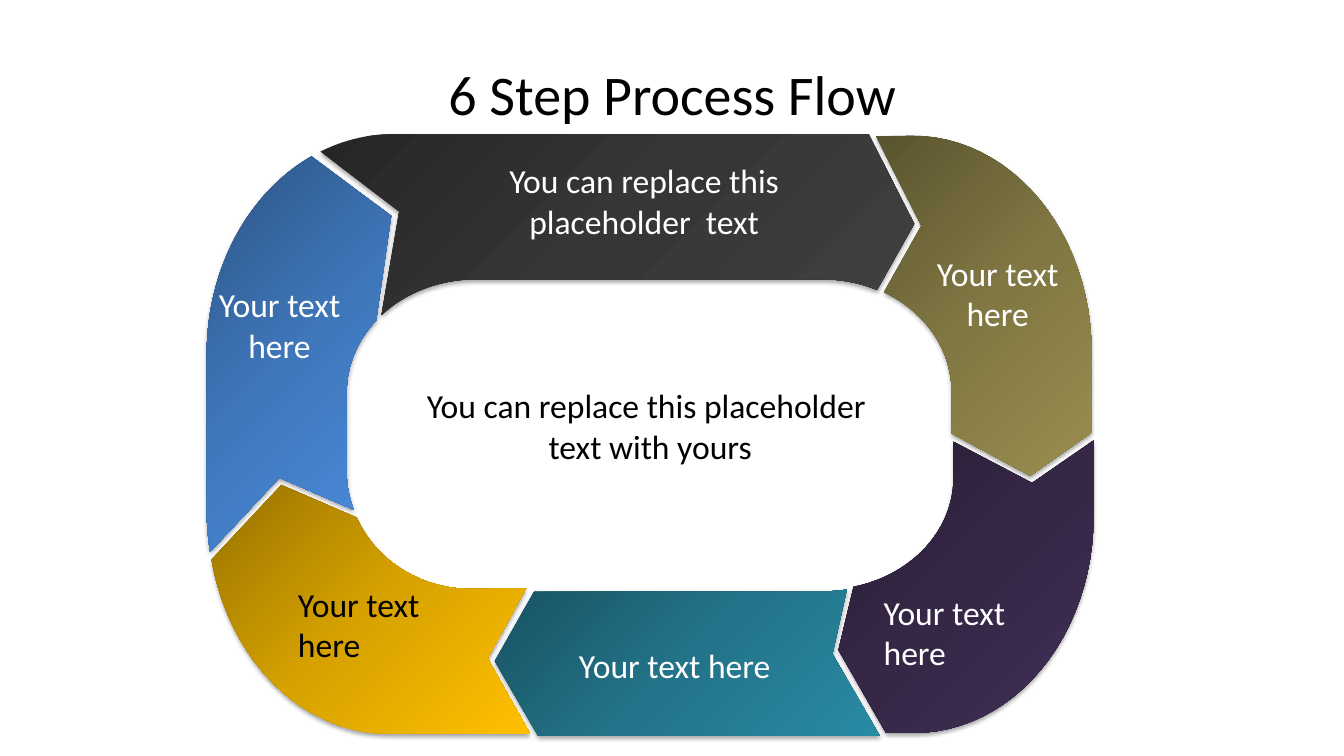
"""Build a slide with a six step process loop."""
from math import cos, radians, sin

from pptx import Presentation
from pptx.dml.color import RGBColor
from pptx.enum.text import MSO_ANCHOR as Anchor, MSO_AUTO_SIZE as AutoSize, PP_ALIGN as Align
from pptx.oxml import parse_xml
from pptx.oxml.ns import nsdecls
from pptx.util import Cm, Pt

BLACK = RGBColor(0x00, 0x00, 0x00)
WHITE = RGBColor(0xFF, 0xFF, 0xFF)
CHARCOAL = RGBColor(0x26, 0x26, 0x26), RGBColor(0x36, 0x36, 0x36), RGBColor(0x40, 0x40, 0x40)
OLIVE = RGBColor(0x5A, 0x54, 0x2F), RGBColor(0x81, 0x77, 0x43), RGBColor(0x99, 0x8D, 0x4F)
PURPLE = RGBColor(0x26, 0x1C, 0x32), RGBColor(0x36, 0x27, 0x47), RGBColor(0x40, 0x2F, 0x54)
TEAL = RGBColor(0x18, 0x52, 0x61), RGBColor(0x23, 0x74, 0x8A), RGBColor(0x29, 0x8A, 0xA3)
GOLD = RGBColor(0x97, 0x72, 0x00), RGBColor(0xD7, 0xA2, 0x00), RGBColor(0xFF, 0xC0, 0x00)
BLUE = RGBColor(0x2D, 0x54, 0x84), RGBColor(0x3F, 0x77, 0xBB), RGBColor(0x4B, 0x8D, 0xDE)

LABEL_FORMAT = {"name": "Calibri", "size": Pt(24)}
TITLE_FORMAT = {"name": "Calibri", "size": Pt(40)}
SHORT_LABEL = "Your text here"


def arc(center_x, center_y, radius_x, radius_y, start, end, steps=24):
    """Return points along an elliptical arc, in centimetres, with angles in degrees."""
    angles = [radians(start + (end - start) * step / steps) for step in range(steps + 1)]
    return [(center_x + radius_x * cos(angle), center_y - radius_y * sin(angle))
            for angle in angles]


STEPS = [
    {"colors": CHARCOAL, "label": "You can replace this placeholder  text",
     "area": (10.9, 3.91, 10.67, 2.84),
     "outline": [*arc(11.99, 9.88, 3.25, 2.84, 137, 90), *arc(20.73, 9.88, 3.25, 2.84, 90, 65),
                 (23.04, 5.64), (21.89, 3.38), *arc(9.91, 8.92, 4.7, 5.54, 90, 113),
                 (10.06, 5.33)]},
    {"colors": OLIVE, "label": SHORT_LABEL, "area": (22.91, 6.25, 4.47, 2.31),
     "outline": [(22.07, 3.43), (23.22, 5.69), *arc(20.73, 9.86, 3.25, 2.84, 61.5, 0),
                 (23.98, 10.92), (25.96, 11.99), (27.51, 10.9),
                 *arc(22.99, 8.86, 4.52, 5.44, 0, 90)]},
    {"colors": PURPLE, "label": SHORT_LABEL, "area": (22.02, 14.78, 4.93, 2.31),
     "align": Align.LEFT,
     "outline": [(26.01, 12.17), (24.03, 11.13), *arc(20.78, 12.04, 3.25, 2.82, 0, -77),
                 (21.13, 16.38), (22.33, 18.47), *arc(23.04, 13.03, 4.52, 5.44, -90, 0),
                 (27.56, 11.1)]},
    {"colors": TEAL, "label": SHORT_LABEL, "area": (13.36, 16.13, 7.29, 1.57),
     "outline": [(21.34, 14.86), (20.8, 14.91), (13.46, 14.91), (12.47, 16.66),
                 (13.56, 18.54), (22.17, 18.54), (20.98, 16.48)]},
    {"colors": GOLD, "label": SHORT_LABEL, "area": (7.26, 14.58, 5.21, 2.84),
     "align": Align.LEFT, "text_color": BLACK,
     "outline": [(13.26, 14.83), *arc(11.86, 11.89, 3.12, 2.95, 270, 203), (7.09, 12.22),
                 *arc(9.78, 12.95, 4.55, 5.54, 192, 270), (13.36, 18.49), (12.29, 16.59)]},
    {"colors": BLUE, "label": SHORT_LABEL, "area": (5.23, 7.04, 3.63, 4.09),
     "outline": [*arc(11.99, 11.89, 3.25, 2.95, 199, 180),
                 *arc(11.99, 9.88, 3.25, 2.84, 180, 140.5), (9.86, 5.44),
                 *arc(9.91, 8.92, 4.7, 5.54, 116, 180),
                 *arc(9.91, 12.85, 4.7, 5.54, 180, 191), (7.04, 12.04)]},
]


def write_text(box, text, color, align, formats):
    """Put one formatted paragraph in a box."""
    para = box.text_frame.paragraphs[0]
    para.alignment = align
    span = para.add_run()
    span.text = text
    for name, value in formats.items():
        setattr(span.font, name, value)
    span.font.color.rgb = color


def place(box, area):
    """Move and size a box, given in centimetres."""
    for name, value in zip(("left", "top", "width", "height"), area):
        setattr(box, name, Cm(value))


def add_label(shapes, text, area, color, align=Align.CENTER):
    """Add a wrapping text box."""
    box = shapes.add_textbox(*[Cm(value) for value in area])
    box.text_frame.word_wrap = True
    box.text_frame.auto_size = AutoSize.SHAPE_TO_FIT_TEXT
    write_text(box, text, color, align, LABEL_FORMAT)
    place(box, area)


def add_arrow(shapes, outline, colors):
    """Add a closed outline with a diagonal gradient and a soft shadow."""
    points = [(Cm(x), Cm(y)) for x, y in outline]
    builder = shapes.build_freeform(*points[0])
    builder.add_line_segments(points[1:], close=True)
    arrow = builder.convert_to_shape()
    stops = "".join(f'<a:gs pos="{position}"><a:srgbClr val="{color}"/></a:gs>'
                    for position, color in zip((0, 50000, 100000), colors))
    properties = arrow.element.spPr
    properties.append(parse_xml(
        f'<a:gradFill {nsdecls("a")} rotWithShape="1"><a:gsLst>{stops}</a:gsLst>'
        '<a:lin ang="2700000" scaled="0"/></a:gradFill>'))
    arrow.line.fill.background()
    properties.append(parse_xml(
        f'<a:effectLst {nsdecls("a")}><a:outerShdw blurRad="40000" dist="23000" dir="5400000" '
        f'rotWithShape="0"><a:srgbClr val="{BLACK}"><a:alpha val="35000"/></a:srgbClr>'
        '</a:outerShdw></a:effectLst>'))


def add_step(page, step):
    """Add one grouped arrow with its label."""
    shapes = page.shapes.add_group_shape().shapes
    add_arrow(shapes, step["outline"], step["colors"])
    add_label(shapes, step["label"], step["area"], step.get("text_color", WHITE),
              step.get("align", Align.CENTER))


def add_title(page, text):
    """Fill and place the title placeholder."""
    title = page.shapes.title
    place(title, (1.7, 0.76, 30.48, 3.18))
    title.text_frame.vertical_anchor = Anchor.MIDDLE
    write_text(title, text, BLACK, Align.CENTER, TITLE_FORMAT)


def main():
    """Build and save the deck."""
    deck = Presentation()
    deck.slide_width, deck.slide_height = Cm(33.87), Cm(19.05)
    page = deck.slides.add_slide(deck.slide_layouts.get_by_name("Title Only"))
    add_title(page, "6 Step Process Flow")
    for step in STEPS:
        add_step(page, step)
    add_label(page.shapes, "You can replace this placeholder  text with yours",
              (10.01, 9.58, 12.75, 2.31), BLACK)
    deck.save("out.pptx")


if __name__ == "__main__":
    main()
